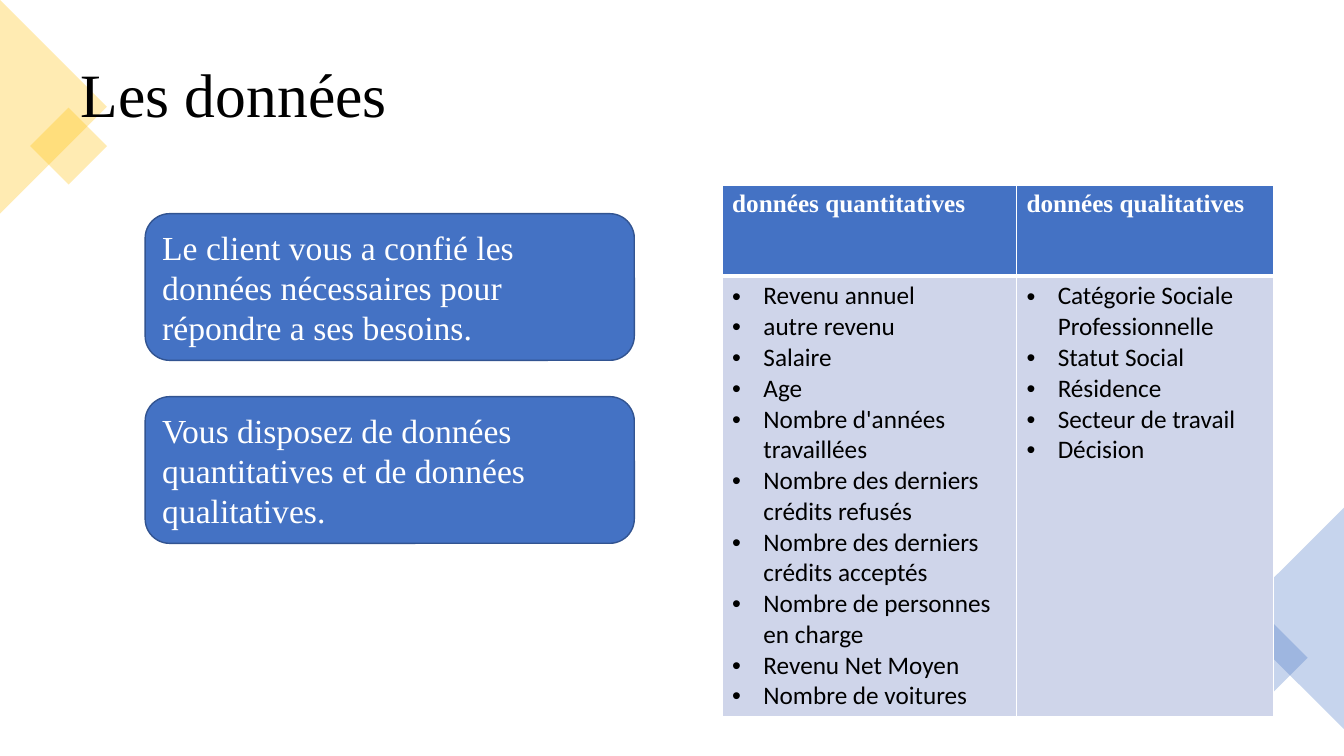
from pptx import Presentation
from pptx.dml.color import RGBColor as Rgb
from pptx.enum.shapes import MSO_SHAPE as Shape
from pptx.enum.text import MSO_ANCHOR as Anchor, MSO_AUTO_SIZE as Fit, PP_ALIGN as Align
from pptx.oxml import parse_xml
from pptx.oxml.ns import nsdecls, qn
from pptx.util import Inches, Pt

COLORS = {
    "gold": "FFC000", "blue": "4472C4", "edge": "325491",
    "pale": "CFD5EA", "white": "FFFFFF", "black": "000000",
}
SERIF, SANS = "Times New Roman", "Calibri"

CARDS = [
    "Le client vous a confié les données nécessaires pour répondre a ses besoins.",
    "Vous disposez de données quantitatives et de données qualitatives.",
]
DATA = {
    "données quantitatives": [
        "Revenu annuel", "autre revenu", "Salaire", "Age",
        "Nombre d'années travaillées",
        "Nombre des derniers crédits refusés",
        "Nombre des derniers crédits acceptés",
        "Nombre de personnes en charge",
        "Revenu Net Moyen", "Nombre de voitures",
    ],
    "données qualitatives": [
        "Catégorie Sociale Professionnelle", "Statut Social",
        "Résidence", "Secteur de travail", "Décision",
    ],
}


class Deck:
    """Style and current slide; lengths are percent of the slide's size."""

    def __init__(self):
        self.show = Presentation()
        self.show.slide_width = Inches(13.33)
        self.show.slide_height = Inches(7.5)
        self.slide = self.show.slides.add_slide(self.show.slide_layouts[5])
        self.shapes = self.slide.shapes

    def wide(self, share):
        return round(self.show.slide_width * share / 100)

    def high(self, share):
        return round(self.show.slide_height * share / 100)

    def box(self, x, y, w, h):
        return self.wide(x), self.high(y), self.wide(w), self.high(h)

    def paint(self, item, color):
        item.fill.solid()
        item.fill.fore_color.rgb = Rgb.from_string(COLORS[color])

    def label(self, frame, lines, size, font, color, bold=False):
        frame.text = "\n".join(lines)
        for para in frame.paragraphs:
            para.alignment = Align.LEFT
            para.font.size = Pt(size)
            para.font.name = font
            para.font.bold = bold
            para.font.color.rgb = Rgb.from_string(COLORS[color])

    def title(self, text, *place):
        head = self.shapes.title
        head.left, head.top, head.width, head.height = self.box(*place)
        frame = head.text_frame
        self.label(frame, [text], 44, SERIF, "black")
        frame.auto_size = Fit.NONE
        frame.vertical_anchor = Anchor.MIDDLE
        frame.paragraphs[0].line_spacing = 0.9
        self.shapes.element.append(head.element)  # above the corner shapes

    def turned(self, kind, x, y, w, h, angle, color):
        """Clear shape centred on x, y; w and h are shares of the height."""
        w, h = self.high(w), self.high(h)
        part = self.shapes.add_shape(
            kind, self.wide(x) - w // 2, self.high(y) - h // 2, w, h)
        part.rotation = angle
        part.shadow.inherit = False
        part.line.fill.background()
        self.paint(part, color)
        tint = next(part.element.spPr.iter(qn("a:srgbClr")))
        tint.append(parse_xml(f'<a:alpha {nsdecls("a")} val="30000"/>'))

    def card(self, text, *place):
        part = self.shapes.add_shape(Shape.ROUNDED_RECTANGLE, *self.box(*place))
        part.shadow.inherit = False
        self.paint(part, "blue")
        part.line.color.rgb = Rgb.from_string(COLORS["edge"])
        part.line.width = Pt(1)
        part.text_frame.word_wrap = True
        part.text_frame.vertical_anchor = Anchor.MIDDLE
        self.label(part.text_frame, [text], 24, SERIF, "white")

    def border(self, cell, **widths):
        props = cell._tc.get_or_add_tcPr()
        for spot, side in enumerate("LRTB"):
            props.insert(spot, parse_xml(
                f'<a:ln{side} {nsdecls("a")} w="{Pt(widths.get(side, 1))}"><a:solidFill>'
                f'<a:srgbClr val="{COLORS["white"]}"/></a:solidFill></a:ln{side}>'))

    def bullet(self, para):
        props = para._p.get_or_add_pPr()
        dent = Inches(0.31)
        props.set("marL", str(dent))
        props.set("indent", str(-dent))
        props.insert(0, parse_xml(f'<a:buFont {nsdecls("a")} typeface="Arial"/>'))
        props.insert(1, parse_xml(f'<a:buChar {nsdecls("a")} char="•"/>'))

    def table(self, data, x, y, cols, rows):
        place = self.box(x, y, sum(cols), sum(rows))
        grid = self.shapes.add_table(len(rows), len(cols), *place).table
        for row, share in zip(grid.rows, rows):
            row.height = self.high(share)
        for col, (name, items) in enumerate(data.items()):
            grid.columns[col].width = self.wide(cols[col])
            head, body = grid.cell(0, col), grid.cell(1, col)
            self.paint(head, "blue")
            self.label(head.text_frame, [name], 18, SERIF, "white", True)
            self.border(head, B=3)
            self.paint(body, "pale")
            self.label(body.text_frame, items, 18, SANS, "black")
            self.border(body, T=3)
            for para in body.text_frame.paragraphs:
                self.bullet(para)


def main():
    deck = Deck()

    # Gold corner, then the title over it
    deck.turned(Shape.RECTANGLE, 5.1, 19.33, 7.2, 7.2, 45, "gold")
    deck.turned(Shape.ISOSCELES_TRIANGLE, 3.98, 14.13, 28.27, 14.13, 90, "gold")
    deck.title("Les données", 5.25, 4.67, 89.5, 16.53)

    # Blue corner
    deck.turned(Shape.ISOSCELES_TRIANGLE, 95.9, 81.8, 29.5, 14.8, 270, "blue")
    deck.turned(Shape.RECTANGLE, 94.48, 87, 7.07, 7.07, 45, "blue")

    # Cards
    for step, text in enumerate(CARDS):
        deck.card(text, 10.8, 28.27 + 24.2 * step, 36.4, 19.4)

    # Table of the data
    deck.table(DATA, 53.73, 24.5, cols=[21.9, 19.13], rows=[12, 57.4])

    deck.show.save("out.pptx")


if __name__ == "__main__":
    main()
